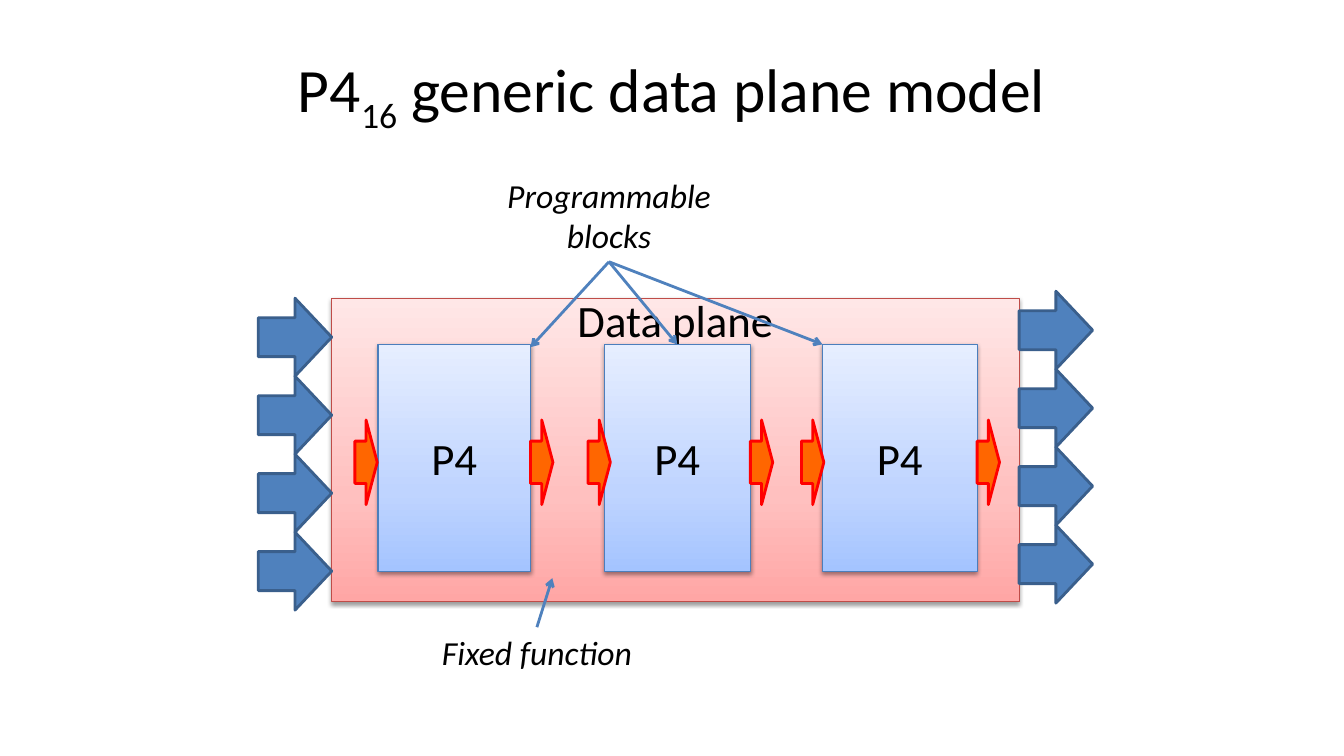
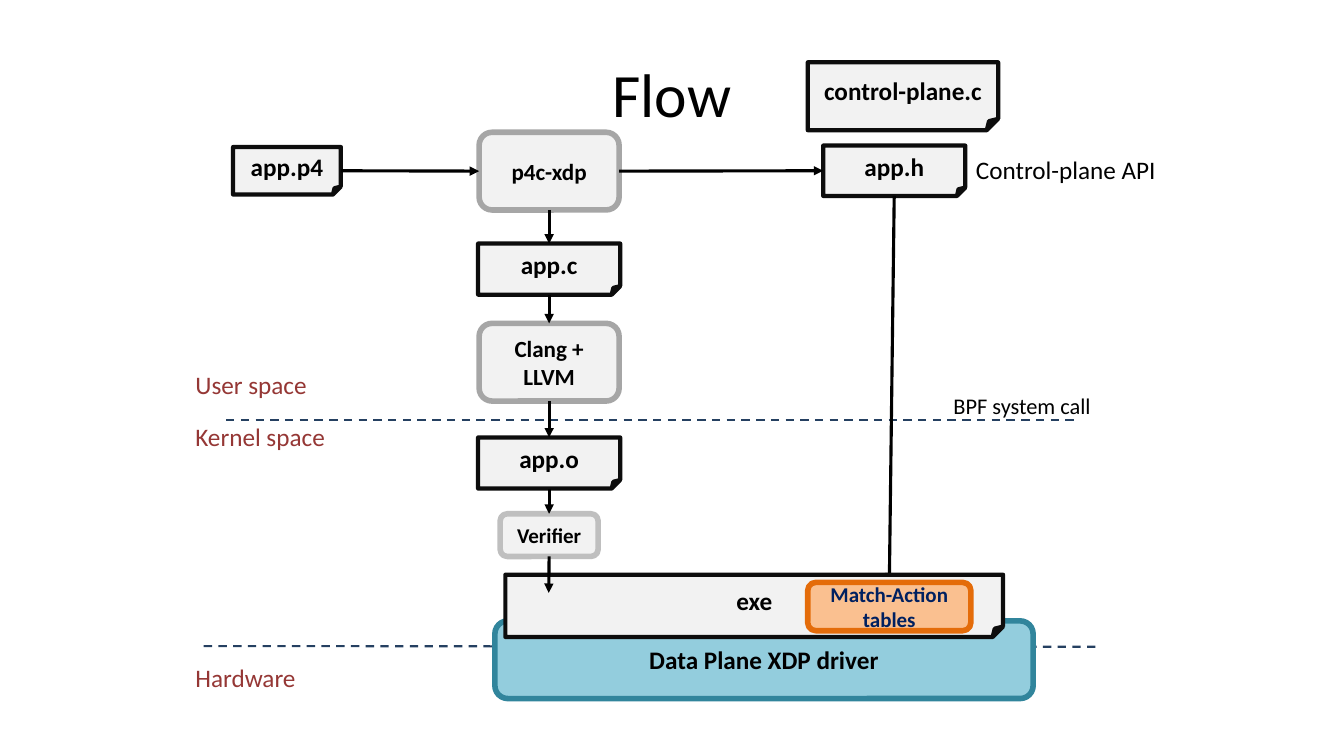
from lxml.etree import SubElement
from pptx import Presentation
from pptx.dml.color import RGBColor as RGB
from pptx.enum.dml import MSO_LINE as Dash
from pptx.enum.shapes import MSO_CONNECTOR as Conn, MSO_SHAPE as Kind
from pptx.enum.text import MSO_ANCHOR as Anchor, PP_ALIGN as Align
from pptx.oxml.ns import qn
from pptx.util import Pt

FONT = "Calibri"
BLACK = RGB(0x00, 0x00, 0x00)
BLUE = RGB(0x4F, 0x81, 0xBD)
NAVY = RGB(0x3A, 0x5F, 0x8C)
EDGE = RGB(0x4B, 0x7E, 0xBC)
ROSE = RGB(0xBF, 0x4C, 0x48)
RED = RGB(0xFF, 0x00, 0x00)
ORANGE = RGB(0xFF, 0x66, 0x00)
PALE = RGB(0xF2, 0xF2, 0xF2)
INK = RGB(0x0D, 0x0D, 0x0D)
GRAY = RGB(0xA6, 0xA6, 0xA6)
SILVER = RGB(0xBF, 0xBF, 0xBF)
AQUA = RGB(0x93, 0xCD, 0xDD)
TEAL = RGB(0x31, 0x85, 0x9C)
PEACH = RGB(0xFA, 0xC0, 0x90)
RUST = RGB(0xE4, 0x6C, 0x0A)
DEEP = RGB(0x00, 0x20, 0x60)
DUSK = RGB(0x25, 0x40, 0x61)
MAROON = RGB(0x95, 0x37, 0x35)
PINKS = ((0, "FFA6A5"), (35, "FFC0BF"), (100, "FFE7E7"))
BLUES = ((0, "A4C4FF"), (35, "BFD4FF"), (100, "E6EEFF"))


def points(*values):
    """Turn plain numbers into lengths in points."""
    return [Pt(value) for value in values]


def write(shape, text, size, color=BLACK, bold=False, italic=False, align=Align.CENTER):
    """Put styled text into a shape."""
    frame = shape.text_frame
    frame.word_wrap = True
    frame.text = text
    for para in frame.paragraphs:
        para.alignment = align
        for run in para.runs:
            font = run.font
            font.name, font.size = FONT, Pt(size)
            font.bold, font.italic = bold, italic
            font.color.rgb = color


def block(slide, kind, box, fill, line, width):
    """Draw a flat preset shape."""
    shape = slide.shapes.add_shape(kind, *points(*box))
    shape.shadow.inherit = False
    shape.fill.solid()
    shape.fill.fore_color.rgb = fill
    shape.line.color.rgb = line
    shape.line.width = Pt(width)
    return shape


def panel(slide, box, stops, line):
    """Draw a rectangle with a vertical gradient and a soft shadow."""
    shape = block(slide, Kind.RECTANGLE, box, PALE, line, 0.75)
    shape.fill.gradient()
    shape.fill.gradient_angle = 90
    props = shape._element.spPr
    ramp = props.find(qn("a:gradFill")).find(qn("a:gsLst"))
    for old in list(ramp):
        ramp.remove(old)
    for place, color in stops:
        stop = SubElement(ramp, qn("a:gs"), pos=str(place * 1000))
        SubElement(stop, qn("a:srgbClr"), val=color)
    shade = SubElement(props.find(qn("a:effectLst")), qn("a:outerShdw"),
                       blurRad=str(Pt(3.1)), dist=str(Pt(1.6)), dir="5400000", rotWithShape="0")
    tint = SubElement(shade, qn("a:srgbClr"), val="000000")
    SubElement(tint, qn("a:alpha"), val="38000")
    return shape


def label(slide, box, text, size, **style):
    """Place a text box."""
    shape = slide.shapes.add_textbox(*points(*box))
    write(shape, text, size, **style)
    return shape


def link(slide, start, end, color=BLACK, width=2.25, head="triangle"):
    """Draw a line between two ends, each a point or a (shape, side) pair."""
    line = slide.shapes.add_connector(Conn.STRAIGHT, 0, 0, 0, 0)
    line.line.color.rgb = color
    line.line.width = Pt(width)
    props = line._element.spPr
    SubElement(props, qn("a:effectLst"))
    if head:
        SubElement(props.find(qn("a:ln")), qn("a:tailEnd"), type=head)
    if isinstance(start[0], (int, float)):
        line.begin_x, line.begin_y = points(*start)
    else:
        line.begin_connect(*start)
    if isinstance(end[0], (int, float)):
        line.end_x, line.end_y = points(*end)
    else:
        line.end_connect(*end)
    return line


def title(slide, text, sub="", rest=""):
    """Write the centred slide title, with an optional subscript inside."""
    shape = label(slide, (48, 21.5, 864, 90), text, 44)
    shape.text_frame.vertical_anchor = Anchor.MIDDLE
    para = shape.text_frame.paragraphs[0]
    for part, base in ((sub, "-25000"), (rest, "0")):
        if part:
            run = para.add_run()
            run.text = part
            run.font.name, run.font.size = FONT, Pt(44)
            run.font.color.rgb = BLACK
            run._r.get_or_add_rPr().set("baseline", base)


def ports(slide, x, y):
    """Stack four wide arrows downwards from a corner."""
    for row in range(4):
        block(slide, Kind.RIGHT_ARROW, (x, y + row * 55.7, 52.5, 55.7), BLUE, NAVY, 2)


def plane(slide, box):
    """Draw the data plane with its ports, blocks and callouts."""
    x, y, w, h = box
    base = panel(slide, box, PINKS, ROSE)
    write(base, "Data plane", 32)
    base.text_frame.vertical_anchor = Anchor.MIDDLE
    base.text_frame.margin_top = 0
    base.text_frame.margin_bottom = Pt(h - 30)
    ports(slide, x - 52.5, y)
    ports(slide, x + w, y - 5)

    cells, top = [], y + 33
    for left, wide, gap in ((33, 109, 16.5), (194.5, 104.5, 11.5), (350.5, 110.5, 15)):
        cell = panel(slide, (x + left, top, wide, 162), BLUES, EDGE)
        write(cell, "P4", 32)
        cells.append(cell)
        for tip in (left - gap, left + wide):
            block(slide, Kind.RIGHT_ARROW, (x + tip, y + 87, 16, 60.5), ORANGE, RED, 2)

    note = label(slide, (x + 114.5, y - 91.5, 167, 65.5), "Programmable\vblocks", 24, italic=True)
    for end in ((x + 142, top + 2), (cells[1], 0), (x + 350.5, top)):
        link(slide, (note, 2), end, BLUE, 2, "arrow")
    fixed = label(slide, (x + 67.5, y + h + 18, 158, 36), "Fixed function", 24, italic=True)
    link(slide, (fixed, 0), (x + 157.5, y + h - 17), BLUE, 2, "arrow")


def node(slide, box, text, kind=Kind.FOLDED_CORNER, size=18, fill=PALE, line=INK,
         width=3, color=BLACK):
    """Draw a bold captioned node of the flow."""
    shape = block(slide, kind, box, fill, line, width)
    write(shape, text, size, color, bold=True)
    frame = shape.text_frame
    frame.vertical_anchor = Anchor.MIDDLE
    frame.margin_top = frame.margin_bottom = 0
    return shape


def tool(slide, box, text, size=16.5, line=GRAY, **style):
    """Draw a rounded node for a program."""
    return node(slide, box, text, Kind.ROUNDED_RECTANGLE, size, line=line, width=4, **style)


def zones(slide, box):
    """Draw the dashed borders and the names of the spaces."""
    x, y, w, h = box
    for start, end in (((29, 40), (w - 15.5, 40)), ((13, 201.5), (w, 202))):
        line = link(slide, (x + start[0], y + start[1]), (x + end[0], y + end[1]),
                    DUSK, 1.5, None)
        line.line.dash_style = Dash.DASH
    for top, text in ((0, "User space"), (37.5, "Kernel space"), (209.5, "Hardware")):
        label(slide, (x, y + top, 130, 29), text, 18, color=MAROON, align=Align.LEFT)
    label(slide, (x + 541.5, y + 16.5, 130, 27), "BPF system call", 16, align=Align.LEFT)


def chain(slide, box):
    """Stack the compile steps in a column and join them."""
    x, y, w, h = box
    mid = x + w / 2
    steps = ((node, "app.c", 101.5, 36.5, 79.5, {}),
             (tool, "Clang + LLVM", 100, 55.5, 136.5, {}),
             (node, "app.o", 101.5, 36.5, 218, {}),
             (tool, "Verifier", 70, 30.5, 272.5, {"size": 15, "line": SILVER}))
    first = last = tool(slide, (mid - 50, y, 100, 55.5), "p4c-xdp")
    for make, text, wide, high, top, style in steps:
        step = make(slide, (mid - wide / 2, y + top, wide, high), text, **style)
        link(slide, (last, 2), (step, 0))
        last = step
    source = node(slide, (x - 175, y + 10.5, 77, 34), "app.p4")
    link(slide, (source, 3), (first, 1))
    return first, last


def control(slide, box, first):
    """Draw the control-plane files and return the line leaving them."""
    x, y, w, h = box
    node(slide, (x, y, w, 48.5), "control-plane.c")
    head = node(slide, (x + 11, y + 59.5, 101.5, 36), "app.h")
    label(slide, (x + 113, y + 62, 160, 29), "Control-plane API", 18, align=Align.LEFT)
    link(slide, (first, 3), (head, 1))
    return link(slide, (head, 2), (x + 58, y + 371.5))


def driver(slide, box, call, last):
    """Draw the driver, the loaded program and its tables."""
    x, y, w, h = box
    tool(slide, (x, y + 33, w, 55.5), "Data Plane XDP driver", 18, TEAL, fill=AQUA)
    node(slide, (x + 7.5, y, 355.5, 44.5), "exe")
    table = tool(slide, (x + 223.5, y + 5.5, 116.5, 34.5), "Match-Action\ntables", 15, RUST,
                 fill=PEACH, color=DEEP)
    call.end_connect(table, 0)
    link(slide, (last, 2), (x + 38.5, y + 13))


def model(slide):
    """Build the data plane model slide."""
    title(slide, "P4", "16", " generic data plane model")
    plane(slide, (237, 213, 491, 217))


def flow(slide):
    """Build the compile flow slide."""
    title(slide, "Flow")
    zones(slide, (132.5, 260, 650, 240))
    first, last = chain(slide, (341.5, 94.5, 101.5, 303))
    call = control(slide, (577, 44.5, 136, 96), first)
    driver(slide, (353.5, 410.5, 384.5, 88.5), call, last)


def main():
    """Build and save both slides."""
    deck = Presentation()
    deck.slide_width, deck.slide_height = points(960, 540)
    for build in (model, flow):
        build(deck.slides.add_slide(deck.slide_layouts[6]))
    deck.save("out.pptx")


if __name__ == "__main__":
    main()
